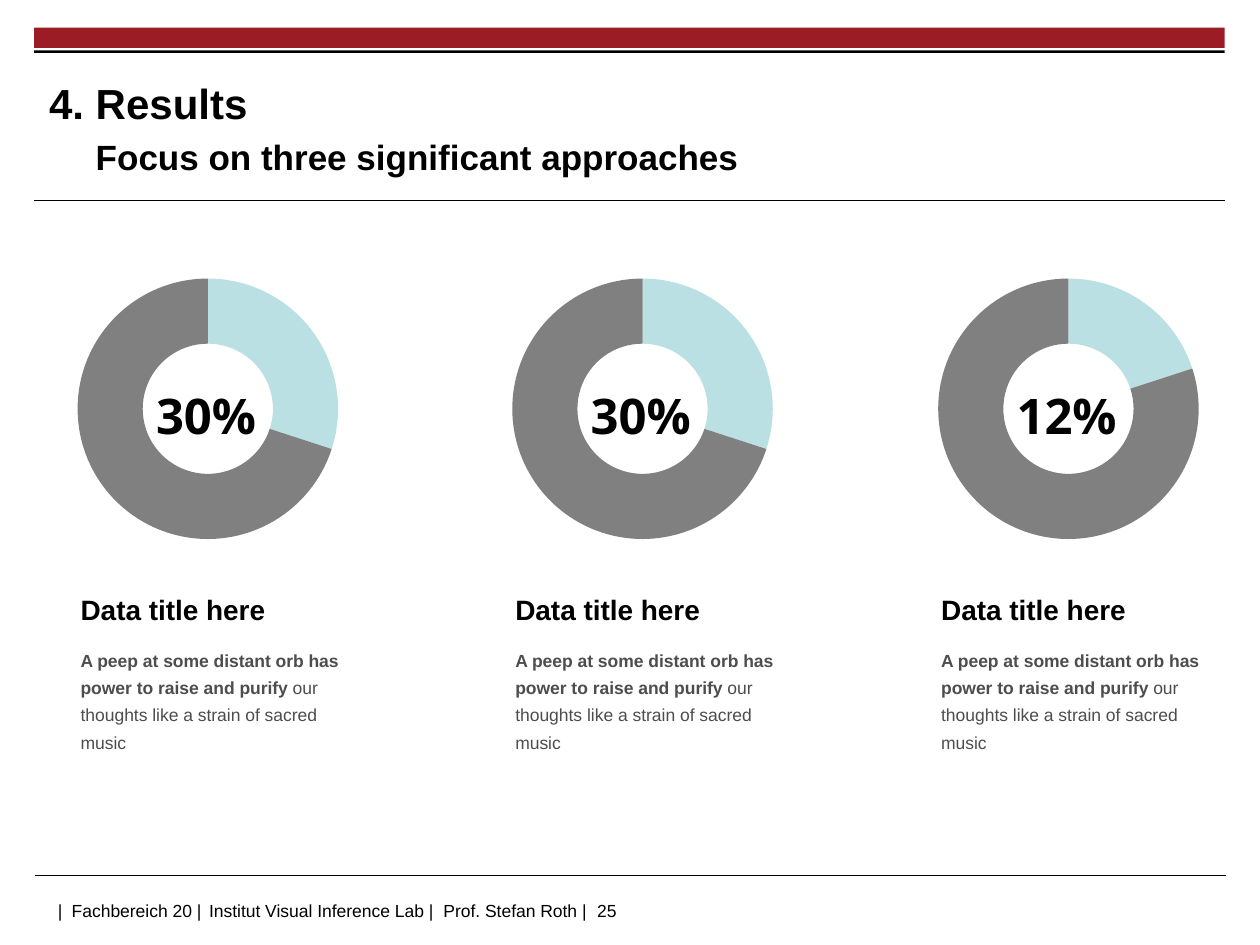
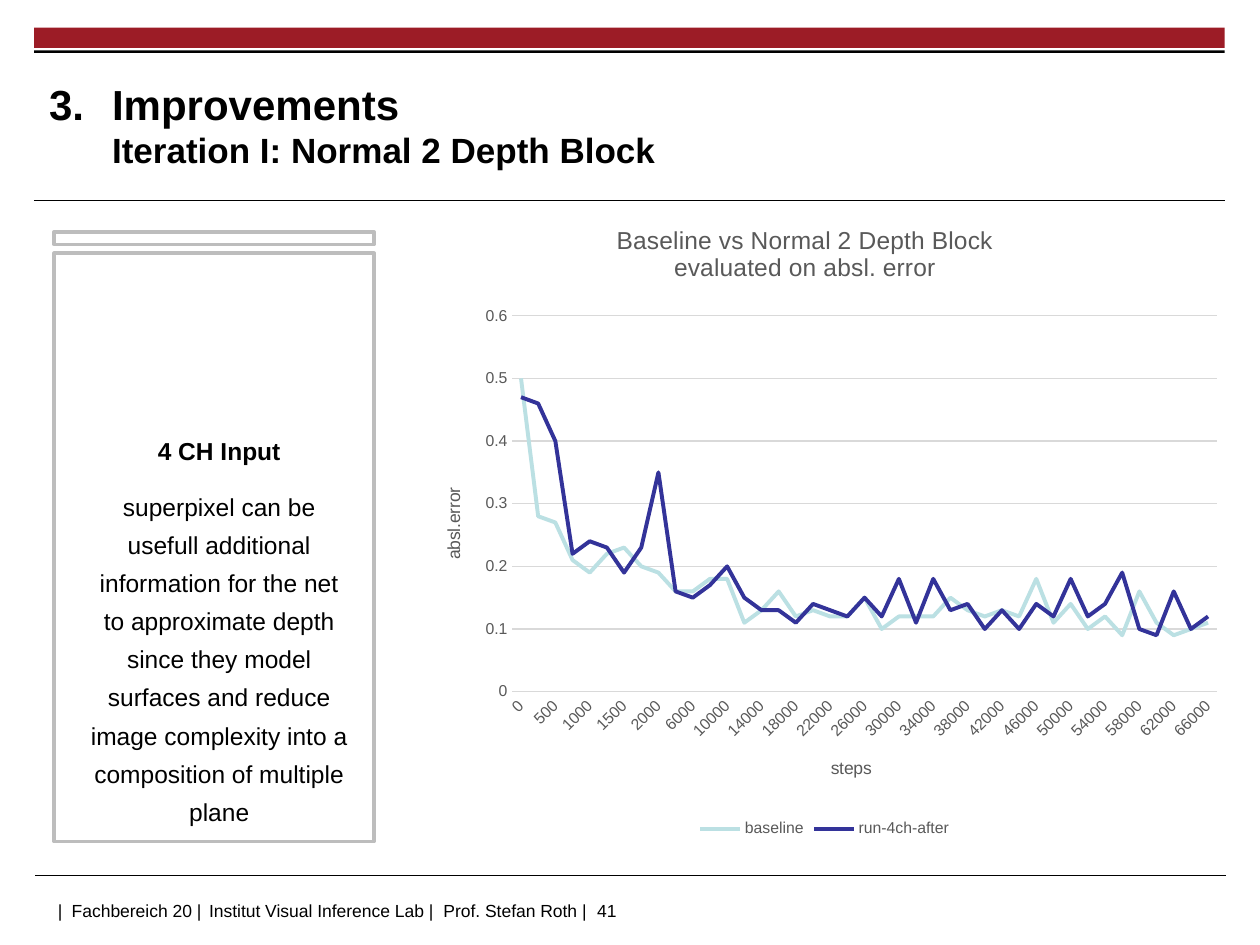
from lxml import etree
from pptx import Presentation
from pptx import util as u
from pptx.chart.data import CategoryChartData
from pptx.dml.color import RGBColor
from pptx.enum import chart as ch, shapes, text
from pptx.oxml.ns import qn

COLORS = {
    "red": "9C1C26", "black": "000000", "white": "FFFFFF", "soft": "4D4D4D",
    "label": "595959", "grid": "D9D9D9", "border": "BDBDBD",
    "aqua": "BBE0E3", "gray": "808080", "navy": "333399",
}
BODY = {"size": 10, "bold": False, "name": "Arial", "color": "black"}
LABEL = {"size": 9, "bold": False, "name": "Arial", "color": "label"}
FOOTER = ["|", "Fachbereich 20 |", "Institut Visual Inference Lab |", "Prof. Stefan Roth |"]
FOOTER_TABS = [0.11, 1.2, 3.06, 4.28]


def rgb(name):
    """Return a palette colour."""
    return RGBColor.from_string(COLORS[name])


def inches(*values):
    """Convert numbers to inch lengths."""
    return [u.Inches(v) for v in values]


def sub(parent, tag, **attrs):
    """Append an XML child with the given attributes."""
    return etree.SubElement(parent, qn(tag), {k: str(v) for k, v in attrs.items()})


def set_font(font, **fmt):
    """Apply size, weight, typeface and colour to a font."""
    fmt = {**BODY, **fmt}
    font.color.rgb = rgb(fmt.pop("color"))
    fmt["size"] = u.Pt(fmt["size"])
    for key, value in fmt.items():
        setattr(font, key, value)


def add_paragraph(tf, first, runs, **fmt):
    """Write one paragraph of (text, font format) runs."""
    p = tf.paragraphs[0] if first else tf.add_paragraph()
    for key, value in fmt.items():
        setattr(p, key, value)
    for words, font in runs:
        r = p.add_run()
        r.text = words
        set_font(r.font, **font)
    return p


def setup_frame(tf, insets, anchor=text.MSO_ANCHOR.TOP):
    """Set wrapping, anchor and left, top, right, bottom insets."""
    tf.word_wrap = True
    tf.vertical_anchor = anchor
    for side, value in zip(("left", "top", "right", "bottom"), inches(*insets)):
        setattr(tf, "margin_" + side, value)
    return tf


def add_textbox(s, box, insets=(0, 0, 0, 0), anchor=text.MSO_ANCHOR.TOP):
    """Add a wrapping text box and return its text frame."""
    return setup_frame(s.shapes.add_textbox(*inches(*box)).text_frame, insets, anchor)


def add_rect(s, box, fill, line=None):
    """Add a flat rectangle."""
    sp = s.shapes.add_shape(shapes.MSO_SHAPE.RECTANGLE, *inches(*box))
    sp.shadow.inherit = False
    sp.fill.solid()
    sp.fill.fore_color.rgb = rgb(fill)
    if line:
        sp.line.color.rgb = rgb(line)
        sp.line.width = u.Pt(2)
    else:
        sp.line.fill.background()
    return sp


def add_rule(s, x, y, width):
    """Add a thin horizontal rule."""
    ends = inches(x, y, x + width, y)
    line = s.shapes.add_connector(shapes.MSO_CONNECTOR.STRAIGHT, *ends)
    line.line.color.rgb = rgb("black")
    line.line.width = u.Pt(0.6)
    sub(line._element.spPr, "a:effectLst")


def add_footer(s, box, number):
    """Write the tabbed footer line with the page number."""
    tf = add_textbox(s, box, anchor=text.MSO_ANCHOR.MIDDLE)
    p = tf.paragraphs[0]
    tabs = sub(p._p.get_or_add_pPr(), "a:tabLst")
    for stop in FOOTER_TABS:
        sub(tabs, "a:tab", pos=u.Inches(stop), algn="l")
    add_paragraph(tf, True, [("\t".join(FOOTER + [str(number)]), {})])


def add_title(s, box, number, heading, subtitle, indent, gap):
    """Write the numbered heading with its subtitle aligned below."""
    tf = add_textbox(s, box, anchor=text.MSO_ANCHOR.MIDDLE)
    p = add_paragraph(tf, True, [(heading, {"size": 24, "bold": True})])
    pPr = p._p.get_or_add_pPr()
    pPr.set("marL", str(u.Inches(indent)))
    pPr.set("indent", str(-u.Inches(indent)))
    sub(pPr, "a:buFont", typeface="+mj-lt")
    sub(pPr, "a:buAutoNum", type="arabicPeriod", startAt=number)
    p = add_paragraph(tf, False, [(subtitle, {"size": 20, "bold": True})],
                      space_before=u.Pt(gap))
    p._p.get_or_add_pPr().set("marL", str(u.Inches(indent)))


def new_slide(prs, page):
    """Add a slide with the shared bands, rules and footer."""
    s = prs.slides.add_slide(prs.slide_layouts[6])
    add_rect(s, (0.27, 0.22, 9.45, 0.16), "red")
    add_rect(s, (0.27, 0.4, 9.45, 0.02), "black")
    add_rule(s, 0.27, 1.59, 9.45)
    add_rule(s, 0.28, 6.95, 9.45)
    add_footer(s, (0.46, 7.1, 7.7, 0.25), page)
    return s


def place(element, inner=True, **fractions):
    """Give a chart part a manual layout in fractions of the chart."""
    layout = element.find(qn("c:layout"))
    if layout is None:
        layout = etree.Element(qn("c:layout"))
        element.insert(0, layout)
    manual = sub(layout, "c:manualLayout")
    if inner:
        sub(manual, "c:layoutTarget", val="inner")
    for mode in ("xMode", "yMode"):
        sub(manual, "c:" + mode, val="edge")
    for key, value in fractions.items():
        sub(manual, "c:" + key, val=value)


def add_chart(s, box, kind, categories, series):
    """Add a chart from a dict of named value lists."""
    data = CategoryChartData()
    data.categories = categories
    for name, values in series.items():
        data.add_series(name, values)
    chart = s.shapes.add_chart(kind, *inches(*box), data).chart
    set_font(chart.font)
    return chart


def add_doughnut(s, box, values, percent):
    """Draw a doughnut with a percentage in its hole."""
    x, y, w, h = box
    chart = add_chart(s, box, ch.XL_CHART_TYPE.DOUGHNUT, ["1", "2", "3", "4"],
                      {"Series 1": values + [None, None]})
    chart.has_legend = chart.has_title = False
    plot = chart.plots[0]
    plot._element.find(qn("c:holeSize")).set("val", "80")
    for i, color in enumerate(("aqua", "gray", "white", "black")):
        fmt = plot.series[0].points[i].format
        fmt.fill.solid()
        fmt.fill.fore_color.rgb = rgb(color)
        fmt.line.fill.background()
    place(plot._element.getparent(), x=0.15, y=0.06, w=0.7, h=0.88)
    tf = add_textbox(s, (x + 0.84, y + 0.86, 1.27, 0.57), (0.1, 0, 0.1, 0.05),
                     text.MSO_ANCHOR.MIDDLE)
    add_paragraph(tf, True, [(percent, {"size": 28, "bold": True, "name": "Open Sans"})],
                  alignment=text.PP_ALIGN.CENTER, line_spacing=1.45)


def add_caption(s, box):
    """Write the title and description under a doughnut."""
    tf = add_textbox(s, box, (0, 0.04, 0.24, 0.04))
    add_paragraph(tf, True, [("Data title here", {"size": 16, "bold": True})],
                  line_spacing=1.3)
    add_paragraph(tf, False, [
        ("A peep at some distant orb has power to raise and purify ",
         {"bold": True, "color": "soft"}),
        ("our thoughts like a strain of sacred music", {"color": "soft"}),
    ], line_spacing=1.3, space_before=u.Pt(10))


def add_panel(s, box):
    """Draw the framed note with its narrow header bar."""
    x, y, w, h = box
    add_rect(s, (x, y, w, 0.1), "white", "border")
    sp = add_rect(s, (x, y + 0.17, w, h - 0.17), "white", "border")
    tf = setup_frame(sp.text_frame, (0.28, 0.35, 0.2, 0.12), text.MSO_ANCHOR.BOTTOM)
    fmt = {"alignment": text.PP_ALIGN.CENTER, "line_spacing": 1.3}
    add_paragraph(tf, True, [("4 CH Input", {"size": 14, "bold": True})], **fmt)
    note = ("superpixel can be usefull additional information for the net to approximate "
            "depth since they model surfaces and reduce image complexity into a "
            "composition of multiple plane")
    add_paragraph(tf, False, [(note, {"size": 14})], space_before=u.Pt(10), **fmt)


def style_axis(axis, title):
    """Apply the shared axis look and title."""
    axis.major_tick_mark = axis.minor_tick_mark = ch.XL_TICK_MARK.NONE
    set_font(axis.tick_labels.font, **LABEL)
    axis.axis_title.text_frame.text = title
    p = axis.axis_title.text_frame.paragraphs[0]
    set_font(p.runs[0].font, **{**LABEL, "size": 10})


def add_error_chart(s, box):
    """Draw the error curves of both runs over the training steps."""
    steps = [*range(0, 2000, 250), *range(2000, 66001, 2000)]
    runs = {
        "baseline": [
            0.5, 0.28, 0.27, 0.21, 0.19, 0.22, 0.23, 0.2, 0.19, 0.16, 0.16, 0.18, 0.18, 0.11,
            0.13, 0.16, 0.12, 0.13, 0.12, 0.12, 0.15, 0.1, 0.12, 0.12, 0.12, 0.15, 0.13, 0.12,
            0.13, 0.12, 0.18, 0.11, 0.14, 0.1, 0.12, 0.09, 0.16, 0.11, 0.09, 0.1, 0.11],
        "run-4ch-after": [
            0.47, 0.46, 0.4, 0.22, 0.24, 0.23, 0.19, 0.23, 0.35, 0.16, 0.15, 0.17, 0.2, 0.15,
            0.13, 0.13, 0.11, 0.14, 0.13, 0.12, 0.15, 0.12, 0.18, 0.11, 0.18, 0.13, 0.14, 0.1,
            0.13, 0.1, 0.14, 0.12, 0.18, 0.12, 0.14, 0.19, 0.1, 0.09, 0.16, 0.1, 0.12],
    }
    chart = add_chart(s, box, ch.XL_CHART_TYPE.LINE, [str(n) for n in steps], runs)
    for series, color in zip(chart.plots[0].series, ("aqua", "navy")):
        series.smooth = False
        series.marker.style = ch.XL_MARKER_STYLE.NONE
        series.format.line.color.rgb = rgb(color)
        series.format.line.width = u.Pt(2.25)
    title = chart.chart_title
    title.text_frame.text = "Baseline vs Normal 2 Depth Block\nevaluated on absl. error"
    for p in title.text_frame.paragraphs:
        set_font(p.runs[0].font, **{**LABEL, "size": 14})
    place(title._element, inner=False, x=0.24, y=0.02)

    steps_axis, error_axis = chart.category_axis, chart.value_axis
    style_axis(steps_axis, "steps")
    style_axis(error_axis, "absl.error")
    steps_axis._element.find(qn("c:txPr")).find(qn("a:bodyPr")).set("rot", "-2700000")
    error_axis.minimum_scale, error_axis.maximum_scale, error_axis.major_unit = 0, 0.6, 0.1
    error_axis.format.line.fill.background()
    for line in (steps_axis.format.line, error_axis.major_gridlines.format.line):
        line.color.rgb = rgb("grid")
        line.width = u.Pt(0.75)
    chart.has_legend = True
    chart.legend.position = ch.XL_LEGEND_POSITION.BOTTOM
    chart.legend.include_in_layout = False
    set_font(chart.legend.font, **LABEL)
    place(chart.plots[0]._element.getparent(), x=0.117, y=0.17, w=0.864, h=0.592)


def results_slide(prs):
    """Build the slide with three doughnuts."""
    s = new_slide(prs, 25)
    add_title(s, (0.39, 0.55, 7.26, 0.92), 4, "Results",
              "Focus on three significant approaches", 0.37, 4)
    columns = [(0.16, [30, 70], "30%"), (3.61, [30, 70], "30%"), (6.99, [20, 80], "12%")]
    for x, values, percent in columns:
        add_doughnut(s, (x, 2.07, 2.98, 2.35), values, percent)
        add_caption(s, (x + 0.48, 4.58, 2.37, 1.44))


def improvements_slide(prs):
    """Build the slide with the note and the error chart."""
    s = new_slide(prs, 41)
    add_title(s, (0.39, 0.53, 7.26, 0.92), 3, "Improvements",
              "Iteration I: Normal 2 Depth Block", 0.5, 0)
    add_panel(s, (0.43, 1.84, 2.54, 4.84))
    add_error_chart(s, (3.31, 1.65, 6.47, 5.04))


def main():
    """Build and save the presentation."""
    prs = Presentation()
    prs.slide_width, prs.slide_height = inches(10, 7.5)
    results_slide(prs)
    improvements_slide(prs)
    prs.save("out.pptx")


if __name__ == "__main__":
    main()
